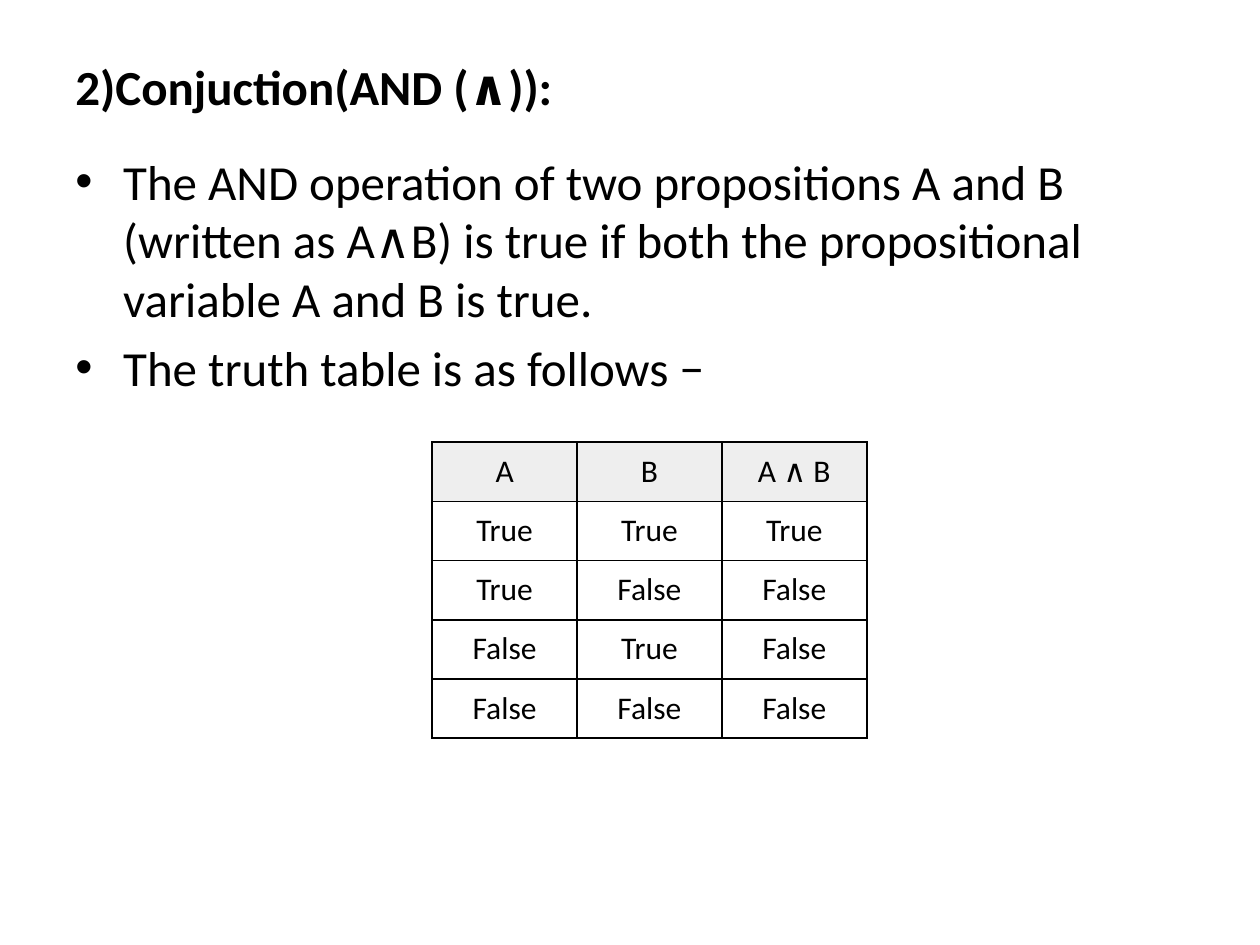
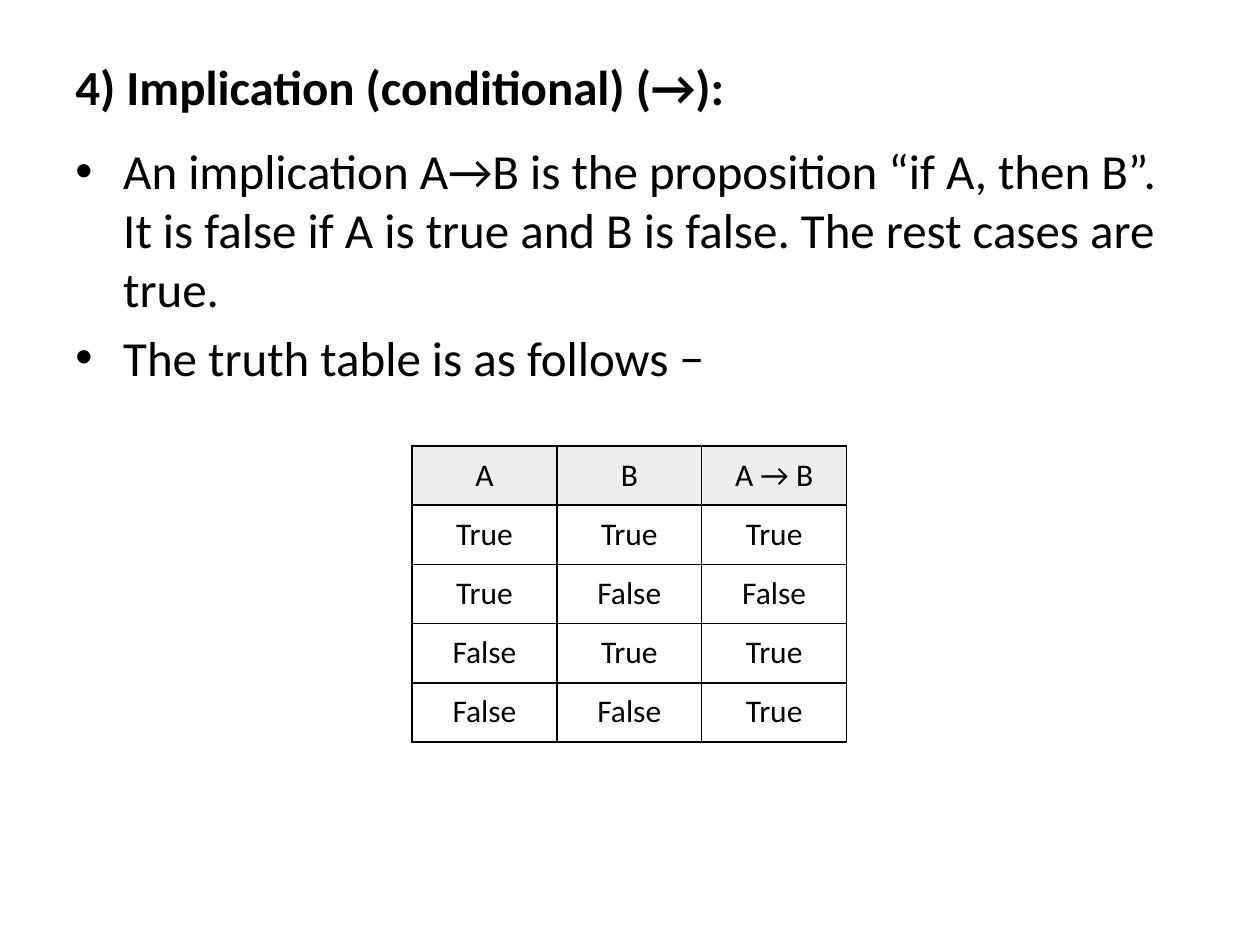
from dataclasses import dataclass
from itertools import product

from lxml import etree
from pptx import Presentation
from pptx.dml.color import RGBColor
from pptx.enum.text import MSO_ANCHOR, PP_ALIGN
from pptx.oxml.ns import qn
from pptx.util import Inches, Pt

TOP = MSO_ANCHOR.TOP
LEFT, CENTER = PP_ALIGN.LEFT, PP_ALIGN.CENTER


@dataclass(frozen=True)
class Theme:
    font: str = "Calibri"
    ink: str = "000000"
    paper: str = "FFFFFF"
    header: str = "EEEEEE"
    text_size: float = 28
    cell_size: float = 18
    bullet_gap: float = 5.6
    border: float = 1


THEME = Theme()

# Page grid, in inches
WIDTH, HEIGHT = 10, 7.5
MARGIN = WIDTH / 20
CONTENT_WIDTH = WIDTH - 2 * MARGIN
TITLE_TOP = HEIGHT / 25
TITLE_INSET = 0.15
INDENT = 0.38
COL_WIDTH, ROW_HEIGHT = 1.15, 0.47
CELL_INSET = 0.08


def set_all(obj, values):
    for name, value in values.items():
        setattr(obj, name, value)


def write(p, text, size, bold=False, align=LEFT):
    p.alignment = align
    r = p.add_run()
    r.text = text
    set_all(r.font, {"name": THEME.font, "size": Pt(size), "bold": bold})
    r.font.color.rgb = RGBColor.from_string(THEME.ink)


def add_frame(slide, top, width, height):
    box = [Inches(v) for v in (MARGIN, top, width, height)]
    tf = slide.shapes.add_textbox(*box).text_frame
    set_all(tf, {"word_wrap": True, "vertical_anchor": TOP})
    return tf


def add_title(slide, text, width, height):
    tf = add_frame(slide, TITLE_TOP, width, height)
    tf.margin_top = Inches(TITLE_INSET)
    write(tf.paragraphs[0], text, THEME.text_size, bold=True)


def add_bullets(slide, items, top, height):
    tf = add_frame(slide, top, CONTENT_WIDTH, height)
    for i, item in enumerate(items):
        p = tf.add_paragraph() if i else tf.paragraphs[0]
        write(p, item, THEME.text_size)
        p.space_after = Pt(THEME.bullet_gap)
        # Hanging bullet
        pPr = p._p.get_or_add_pPr()
        pPr.set("marL", str(Inches(INDENT)))
        pPr.set("indent", str(-Inches(INDENT)))
        etree.SubElement(pPr, qn("a:buFont"), typeface="Arial")
        etree.SubElement(pPr, qn("a:buChar"), char="•")


def add_borders(cell):
    tcPr = cell._tc.get_or_add_tcPr()
    for i, side in enumerate(("lnL", "lnR", "lnT", "lnB")):
        ln = etree.Element(qn(f"a:{side}"), w=str(Pt(THEME.border)))
        fill = etree.SubElement(ln, qn("a:solidFill"))
        etree.SubElement(fill, qn("a:srgbClr"), val=THEME.ink)
        tcPr.insert(i, ln)


def style_cell(cell, text, is_header):
    sides = ("left", "right", "top", "bottom")
    set_all(cell, {f"margin_{side}": Inches(CELL_INSET) for side in sides})
    write(cell.text_frame.paragraphs[0], text, THEME.cell_size, align=CENTER)
    if is_header:
        cell.fill.solid()
        cell.fill.fore_color.rgb = RGBColor.from_string(THEME.header)
    else:
        cell.fill.background()
    add_borders(cell)


def add_truth_table(slide, symbol, operation, left, top):
    rows = [("A", "B", f"A {symbol} B")]
    for a, b in product((True, False), repeat=2):
        rows.append((str(a), str(b), str(operation(a, b))))
    n_rows, n_cols = len(rows), len(rows[0])
    box = (left, top, n_cols * COL_WIDTH, n_rows * ROW_HEIGHT)
    table = slide.shapes.add_table(
        n_rows, n_cols, *(Inches(v) for v in box)).table
    set_all(table, {"first_row": False, "horz_banding": False})
    for i, row in enumerate(rows):
        for j, text in enumerate(row):
            style_cell(table.cell(i, j), text, is_header=i == 0)


def add_slide(prs, title, title_box, bullets, bullet_box,
              symbol, operation, table_at):
    slide = prs.slides.add_slide(prs.slide_layouts[6])
    fill = slide.background.fill
    fill.solid()
    fill.fore_color.rgb = RGBColor.from_string(THEME.paper)
    add_title(slide, title, *title_box)
    add_bullets(slide, bullets, *bullet_box)
    add_truth_table(slide, symbol, operation, *table_at)


def main():
    prs = Presentation()
    set_all(prs, {"slide_width": Inches(WIDTH),
                  "slide_height": Inches(HEIGHT)})
    table_intro = "The truth table is as follows −"

    # Conjunction
    add_slide(
        prs, "2)Conjuction(AND (∧)):", (5.52, 0.77),
        ["The AND operation of two propositions A and B (written as A∧B) "
         "is true if both the propositional variable A and B is true.",
         table_intro], (1.15, 4.95),
        "∧", lambda a, b: a and b, (3.43, 3.51))

    # Implication
    add_slide(
        prs, "4) Implication (conditional) (→):", (CONTENT_WIDTH, 1.25),
        ["An implication A→B is the proposition “if A, then B”. "
         "It is false if A is true and B is false. "
         "The rest cases are true.",
         table_intro], (1.07, 5.63),
        "→", lambda a, b: not a or b, (3.27, 3.54))

    prs.save("out.pptx")


if __name__ == "__main__":
    main()
